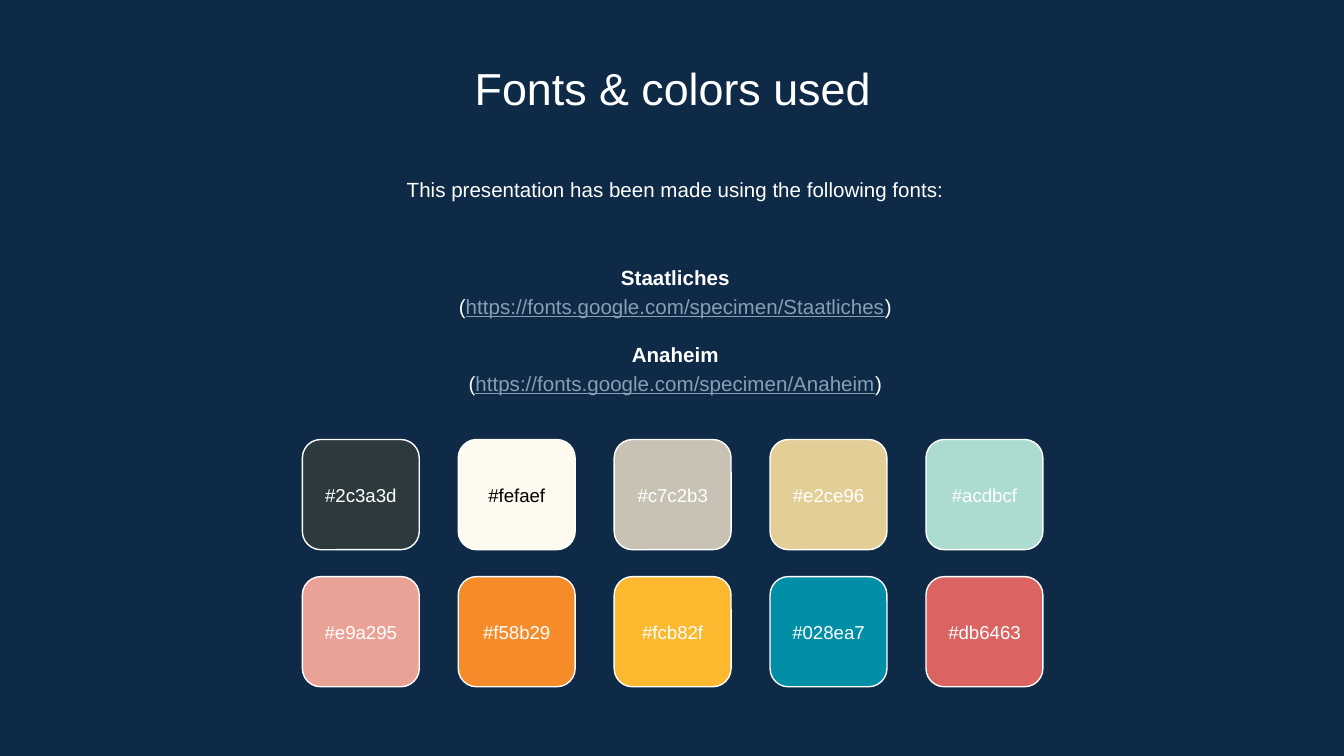
import pptx
import pptx.dml.color
import pptx.enum.shapes
import pptx.enum.text
import pptx.util
from pptx.util import Inches

COLORS = {
    "background": "0E2A47",
    "text": "FFFFFF",
    "dark text": "000000",
    "link": "869FB2",
}
FONT = "Arial"
SWATCHES = [
    ["#2c3a3d", "#fefaef", "#c7c2b3", "#e2ce96", "#acdbcf"],
    ["#e9a295", "#f58b29", "#fcb82f", "#028ea7", "#db6463"],
]
FONT_LINKS = {
    "Staatliches": "https://fonts.google.com/specimen/Staatliches",
    "Anaheim": "https://fonts.google.com/specimen/Anaheim",
}


def rgb(color):
    return pptx.dml.color.RGBColor.from_string(color.lstrip("#").upper())


class SlideBuilder:
    def __init__(self, slide):
        self.slide = slide

    def background(self, color):
        fill = self.slide.background.fill
        fill.solid()
        fill.fore_color.rgb = rgb(color)

    def text_box(self, left, top, width, height, middle=False):
        shape = self.slide.shapes.add_textbox(
            Inches(left), Inches(top), Inches(width), Inches(height))
        frame = shape.text_frame
        frame.word_wrap = True
        frame.margin_left = frame.margin_right = Inches(0.1)
        frame.margin_top = frame.margin_bottom = Inches(0.1)
        anchor = pptx.enum.text.MSO_ANCHOR
        frame.vertical_anchor = anchor.MIDDLE if middle else anchor.TOP
        return frame

    def paragraph(self, frame, first=True, spacing=None, before=None):
        paragraph = frame.paragraphs[0] if first else frame.add_paragraph()
        paragraph.alignment = pptx.enum.text.PP_ALIGN.CENTER
        if spacing:
            paragraph.line_spacing = spacing
        if before:
            paragraph.space_before = pptx.util.Pt(before)
        return paragraph

    def run(self, paragraph, text, size, color="text", bold=False, underline=False):
        run = paragraph.add_run()
        run.text = text
        run.font.name = FONT
        run.font.size = pptx.util.Pt(size)
        run.font.bold = bold
        run.font.underline = underline
        run.font.color.rgb = rgb(COLORS[color])

    def swatch(self, left, top, width, height, color):
        shape = self.slide.shapes.add_shape(
            pptx.enum.shapes.MSO_SHAPE.ROUNDED_RECTANGLE,
            Inches(left), Inches(top), Inches(width), Inches(height))
        shape.shadow.inherit = False
        shape.fill.solid()
        shape.fill.fore_color.rgb = rgb(color)
        shape.line.color.rgb = rgb(COLORS["text"])
        shape.line.width = pptx.util.Pt(0.75)

        # Label with the color code, centred on the swatch
        label_height = 0.48
        label_top = top + (height - label_height) / 2
        frame = self.text_box(left, label_top, width, label_height, middle=True)
        label_color = "dark text" if color == "#fefaef" else "text"
        self.run(self.paragraph(frame), color, 10, label_color)


def main():
    # Widescreen slide, 16:9
    presentation = pptx.Presentation()
    presentation.slide_width = Inches(10)
    presentation.slide_height = Inches(10 * 9 / 16)
    slide = presentation.slides.add_slide(presentation.slide_layouts[6])
    builder = SlideBuilder(slide)
    builder.background(COLORS["background"])

    # Introduction
    frame = builder.text_box(1.17, 1.19, 7.71, 0.48)
    builder.run(builder.paragraph(frame, spacing=1.15),
                "This presentation has been made using the following fonts:", 11)

    # Font names with their addresses
    frame = builder.text_box(1.17, 1.76, 7.71, 1.37, middle=True)
    for index, (name, address) in enumerate(FONT_LINKS.items()):
        heading = builder.paragraph(frame, first=index == 0, spacing=1.15,
                                    before=11 if index else None)
        builder.run(heading, name, 11, bold=True)
        paragraph = builder.paragraph(frame, first=False, spacing=1.15)
        builder.run(paragraph, "(", 11)
        builder.run(paragraph, address, 11, "link", underline=True)
        builder.run(paragraph, ")", 11)

    # Title
    frame = builder.text_box(1.15, 0.35, 7.71, 0.53)
    builder.run(builder.paragraph(frame), "Fonts & colors used", 24)

    # Color swatches
    for row, colors in enumerate(SWATCHES):
        for column, color in enumerate(colors):
            builder.swatch(2.25 + 1.16 * column, 3.27 + 1.02 * row, 0.87, 0.82, color)

    presentation.save("out.pptx")


if __name__ == "__main__":
    main()
